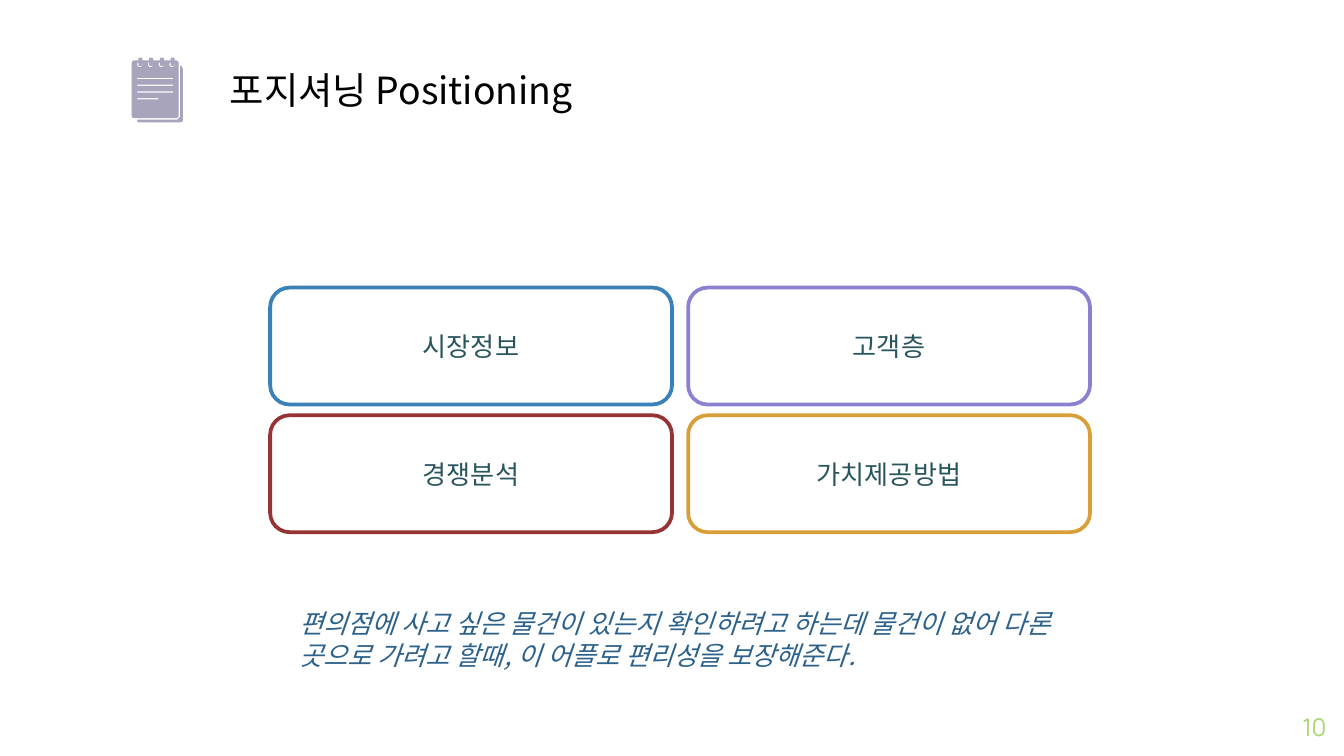
import math
from dataclasses import dataclass

import lxml.etree
import pptx
import pptx.dml.color
import pptx.enum.shapes
import pptx.enum.text
import pptx.oxml.ns
import pptx.util

Inches = pptx.util.Inches
Pt = pptx.util.Pt
Align = pptx.enum.text.PP_ALIGN
Anchor = pptx.enum.text.MSO_ANCHOR


@dataclass(frozen=True)
class Theme:
    font: str = "Noto Sans CJK KR"
    number_font: str = "Manrope"
    title_size: int = 20
    body_size: int = 14
    number_size: int = 13
    leading: float = 1.21
    title: str = "000000"
    card_text: str = "29555D"
    card_fill: str = "FFFFFF"
    summary: str = "2B618B"
    number: str = "A7D86D"
    icon: str = "A7A4BC"
    market: str = "3A81BA"
    customer: str = "8B81D2"
    rival: str = "963334"
    value: str = "D89F39"


THEME = Theme()
SLIDE_WIDTH = 10
SLIDE_HEIGHT = SLIDE_WIDTH * 9 / 16
GRID_LEFT, GRID_TOP = 2.01, 2.14
CARD_WIDTH, CARD_HEIGHT = 2.99, 0.87
COLUMN_STEP, ROW_STEP = 3.11, 0.95
RING_LEFT, RING_STEP = 1.04, 0.08
UNITS_PER_INCH = 1000
CARDS = [
    [("시장정보", THEME.market), ("고객층", THEME.customer)],
    [("경쟁분석", THEME.rival), ("가치제공방법", THEME.value)],
]


def rgb(value):
    return pptx.dml.color.RGBColor.from_string(value)


def place(element, left, top, width, height):
    element.left, element.top = Inches(left), Inches(top)
    element.width, element.height = Inches(width), Inches(height)


def write(element, text, size, color, align=Align.LEFT, anchor=Anchor.TOP,
          font=THEME.font, italic=False):
    frame = element.text_frame
    frame.word_wrap = True
    frame.auto_size = pptx.enum.text.MSO_AUTO_SIZE.NONE
    frame.vertical_anchor = anchor
    frame.text = text
    paragraph = frame.paragraphs[0]
    paragraph.alignment = align
    paragraph.line_spacing = Pt(round(size * THEME.leading))
    paragraph.font.name = font
    paragraph.font.size = Pt(size)
    paragraph.font.italic = italic
    paragraph.font.color.rgb = rgb(color)
    defaults = paragraph.font._element
    latin = defaults.find(pptx.oxml.ns.qn("a:latin"))
    east_asian = lxml.etree.Element(pptx.oxml.ns.qn("a:ea"), typeface=font)
    latin.addnext(east_asian)


def add_text(slide, box, text, size, color, **style):
    block = slide.shapes.add_textbox(*map(Inches, box))
    write(block, text, size, color, **style)
    return block


def add_card(slide, column, row, label, color):
    card = slide.shapes.add_shape(
        pptx.enum.shapes.MSO_SHAPE.ROUNDED_RECTANGLE,
        Inches(GRID_LEFT + column * COLUMN_STEP),
        Inches(GRID_TOP + row * ROW_STEP),
        Inches(CARD_WIDTH), Inches(CARD_HEIGHT))
    card.shadow.inherit = False
    card.fill.solid()
    card.fill.fore_color.rgb = rgb(THEME.card_fill)
    card.line.color.rgb = rgb(color)
    card.line.width = Pt(2)
    write(card, label, THEME.body_size, THEME.card_text,
          align=Align.CENTER, anchor=Anchor.MIDDLE)


def rounded(left, top, width, height, radius):
    corners = [
        (left + width - radius, top + height - radius),
        (left + radius, top + height - radius),
        (left + radius, top + radius),
        (left + width - radius, top + radius),
    ]
    return [
        (x + radius * math.cos(angle), y + radius * math.sin(angle))
        for quarter, (x, y) in enumerate(corners)
        for angle in (math.radians(90 * quarter + step) for step in range(0, 91, 15))
    ]


def add_outline(slide, *contours):
    first, *holes = [
        [(x * UNITS_PER_INCH, y * UNITS_PER_INCH) for x, y in contour]
        for contour in contours
    ]
    builder = slide.shapes.build_freeform(
        *first[0], scale=Inches(1) / UNITS_PER_INCH)
    builder.add_line_segments(first[1:], close=True)
    for hole in holes:
        builder.move_to(*hole[0])
        builder.add_line_segments(hole[1:], close=True)
    outline = builder.convert_to_shape()
    outline.shadow.inherit = False
    outline.fill.solid()
    outline.fill.fore_color.rgb = rgb(THEME.icon)
    outline.line.fill.background()


def add_notepad(slide):
    back_page = [(1.34, 0.49), (1.35, 0.49), (1.36, 0.51), (1.36, 0.9),
                 (1.35, 0.91), (1.03, 0.91), (1.02, 0.9), (1.02, 0.89),
                 (1.32, 0.89), (1.34, 0.87)]
    add_outline(slide, back_page)
    ring_centers = [RING_LEFT + RING_STEP * ring for ring in range(4)]
    for center in ring_centers:
        add_outline(slide, rounded(center - 0.01, 0.43, 0.03, 0.06, 0.01))
    ring_holes = [rounded(center - 0.02, 0.46, 0.04, 0.04, 0.02)
                  for center in ring_centers]
    written_lines = [rounded(1.02, 0.58 + 0.05 * line, width, 0.01, 0.01 / 2)
                     for line, width in enumerate([0.27, 0.27, 0.27, 0.16])]
    add_outline(slide, rounded(0.98, 0.45, 0.35, 0.43, 0.02),
                *ring_holes, *written_lines)


def add_title(slide, text):
    title = slide.shapes.title
    place(title, 1.61, 0.45, 6.06, 0.44)
    write(title, text, THEME.title_size, THEME.title)


def add_page_number(slide, number):
    box = (0.927 * SLIDE_WIDTH, 5.19, 0.06 * SLIDE_WIDTH, 0.43)
    page_number = add_text(slide, box, number, THEME.number_size, THEME.number,
                           align=Align.RIGHT, anchor=Anchor.MIDDLE,
                           font=THEME.number_font)
    frame = page_number.text_frame
    frame.margin_left = frame.margin_right = 0
    frame.margin_top = frame.margin_bottom = 0


def main():
    deck = pptx.Presentation()
    deck.slide_width = Inches(SLIDE_WIDTH)
    deck.slide_height = Inches(SLIDE_HEIGHT)
    slide = deck.slides.add_slide(deck.slide_layouts.get_by_name("Title Only"))
    add_page_number(slide, "10")
    add_notepad(slide)
    add_title(slide, "포지셔닝 Positioning")
    for row, cards in enumerate(CARDS):
        for column, (label, color) in enumerate(cards):
            add_card(slide, column, row, label, color)
    add_text(slide, (2.13, 4.47, 5.98, 0.57),
             "편의점에 사고 싶은 물건이 있는지 확인하려고 하는데 물건이 없어 다론 "
             "곳으로 가려고 할때, 이 어플로 편리성을 보장해준다.",
             THEME.body_size, THEME.summary, italic=True)
    deck.save("out.pptx")


if __name__ == "__main__":
    main()
